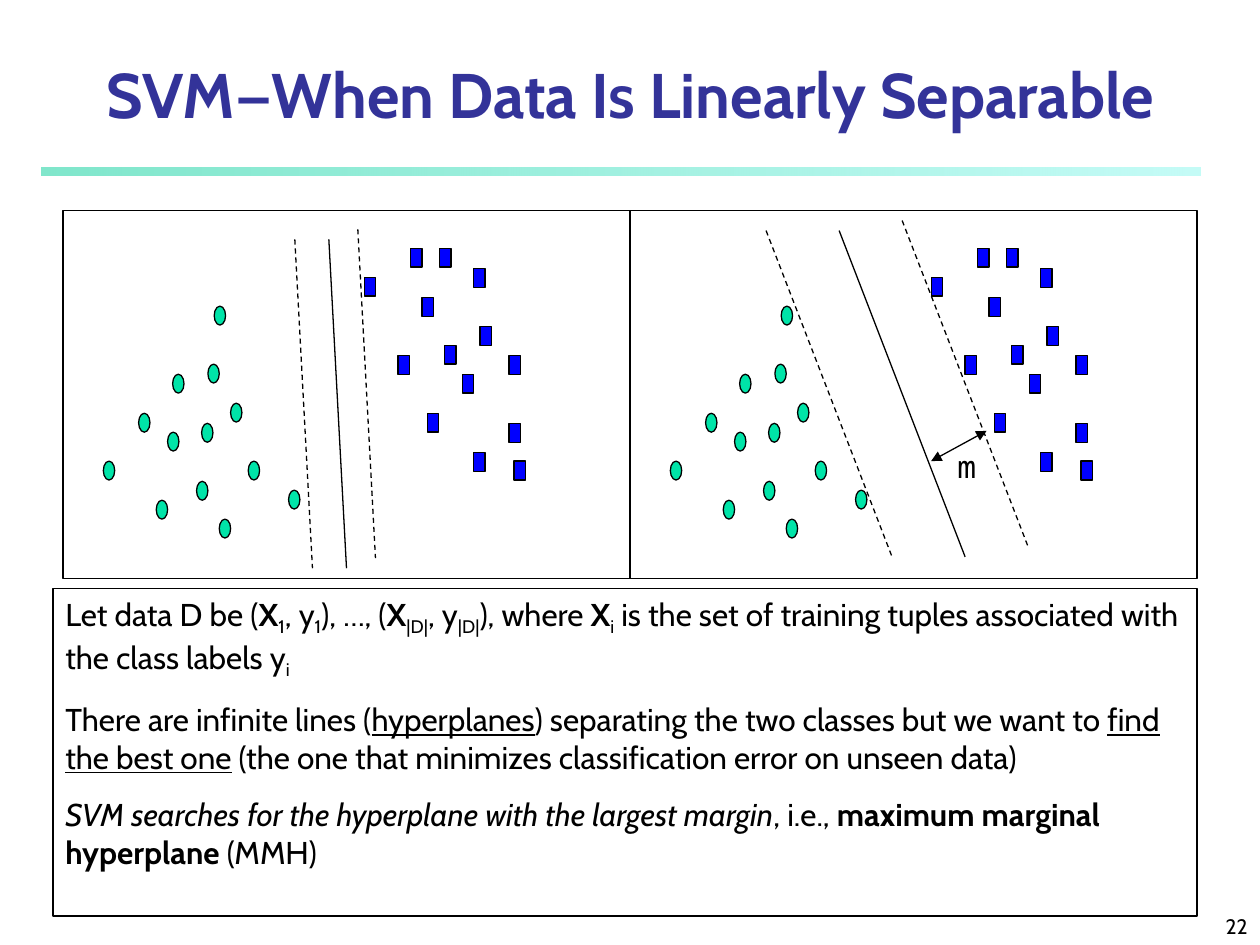
from lxml import etree
from pptx import Presentation
from pptx.dml.color import RGBColor
from pptx.enum import dml, shapes, text
from pptx.oxml import ns
from pptx.util import Inches, Pt

BLACK = RGBColor(0x00, 0x00, 0x00)
NAVY = RGBColor(0x33, 0x33, 0x99)
GREEN = RGBColor(0x00, 0xE4, 0xA8)
BLUE = RGBColor(0x00, 0x00, 0xFF)
TEAL = RGBColor(0x00, 0xCE, 0x98)
AQUA = RGBColor(0x8F, 0xF9, 0xEF)

deck = Presentation()
deck.slide_width, deck.slide_height = Inches(10), Inches(7.5)
slide = deck.slides.add_slide(deck.slide_layouts[6])


def draw(home, kind, x, y, w, h, fill=None):
    item = home.add_shape(kind, Inches(x), Inches(y), Inches(w), Inches(h))
    item.shadow.inherit = False
    if fill is None:
        item.fill.background()
    else:
        item.fill.solid()
        item.fill.fore_color.rgb = fill
    item.line.color.rgb = BLACK
    item.line.width = Pt(0.75)


def link(home, x, y, right, low, dash=False):
    item = home.add_connector(shapes.MSO_CONNECTOR.STRAIGHT,
                              Inches(x), Inches(y), Inches(right), Inches(low))
    item.line.color.rgb = BLACK
    item.line.width = Pt(0.75)
    if dash:
        item.line.dash_style = dml.MSO_LINE.DASH
    etree.SubElement(item._element.spPr, ns.qn("a:effectLst"))
    return item


bar = slide.shapes.add_shape(shapes.MSO_SHAPE.RECTANGLE,
                             Inches(0.33), Inches(1.33), Inches(9.2), Inches(0.06))
bar.shadow.inherit = False
bar.line.fill.background()
bar.fill.gradient()
bar.fill.gradient_angle = 0
for stop, tint, alpha in zip(bar.fill.gradient_stops, (TEAL, AQUA), (50, 52)):
    stop.color.rgb = tint
for stop, alpha in zip(bar._element.spPr.iter(ns.qn("a:srgbClr")), (50, 52)):
    etree.SubElement(stop, ns.qn("a:alpha")).set("val", str(alpha * 1000))

dots = [(1.24, 3.97), (1.33, 3.43), (0.82, 3.66), (1.1, 3.28), (1.56, 3.82),
        (1.37, 2.97), (1.6, 3.36), (1.65, 2.89), (1.83, 3.2), (1.97, 3.66),
        (1.74, 4.12), (2.29, 3.89), (1.7, 2.43)]
bricks = [(3.16, 2.82), (2.89, 2.2), (3.26, 1.97), (3.39, 3.28), (3.35, 2.36),
          (3.53, 2.74), (3.49, 1.97), (3.76, 2.13), (3.67, 2.97), (3.81, 2.59),
          (3.76, 3.59), (4.04, 2.82), (4.04, 3.36), (4.08, 3.66)]
panels = [
    (0.5, 0.14, 2.61, [(2.84, 1.82, True), (2.34, 1.9, True), (2.61, 1.9, False)]),
    (5, 1, 2.59, [(6.08, 1.83, True), (7.16, 1.75, True), (6.66, 1.83, False)]),
]
for left, run, drop, lines in panels:
    group = slide.shapes.add_group_shape().shapes
    shift = left - 0.5
    for x, y in dots:
        draw(group, shapes.MSO_SHAPE.OVAL, x + shift, y, 0.09, 0.15, GREEN)
    for x, y in bricks:
        draw(group, shapes.MSO_SHAPE.RECTANGLE, x + shift, y, 0.09, 0.15, BLUE)
    draw(group, shapes.MSO_SHAPE.RECTANGLE, left, 1.67, 4.5, 2.92)
    for x, y, dash in lines:
        link(group, x, y, x + run, y + drop, dash)

gap = link(slide.shapes, 7.39, 3.66, 7.83, 3.42)
edge = gap._element.spPr.find(ns.qn("a:ln"))
for end in ("a:headEnd", "a:tailEnd"):
    etree.SubElement(edge, ns.qn(end)).set("type", "triangle")

body = [
    [("Let data D be (", ""), ("X", "b"), ("1", "s"), (", y", ""), ("1", "s"),
     ("), …, (", ""), ("X", "b"), ("|D|", "s"), (", y", ""), ("|D|", "s"),
     ("), where ", ""), ("X", "b"), ("i", "s"),
     (" is the set of training tuples associated with the class labels y", ""),
     ("i", "s")],
    [("There are infinite lines (", ""), ("hyperplanes", "u"),
     (") separating the two classes but we want to ", ""),
     ("find the best one", "u"),
     (" (the one that minimizes classification error on unseen data)", "")],
    [("SVM searches for the hyperplane with the largest margin", "i"),
     (", i.e., ", ""), ("maximum marginal hyperplane", "b"), (" (MMH)", "")],
]
title = [[("SVM—When Data Is Linearly Separable", "b")]]
LEFT, MID, RIGHT = text.PP_ALIGN.LEFT, text.PP_ALIGN.CENTER, text.PP_ALIGN.RIGHT
TOP, LOW = text.MSO_ANCHOR.TOP, text.MSO_ANCHOR.BOTTOM
boxes = [
    (7.92, 7.08, 2.08, 0.42, [[("22", "")]], 12, "Cabin", BLACK, RIGHT, LOW),
    (0, 0.42, 10, 0.67, title, 36, "Cabin", NAVY, MID, LOW),
    (7.5, 3.5, 0.58, 0.4, [[("m", "")]], 18, "Noto Sans Mono", BLACK, LEFT, TOP),
    (0.42, 4.67, 9.08, 2.6, body, 18, "Cabin", BLACK, LEFT, TOP),
]
for x, y, w, h, paras, size, face, tint, align, anchor in boxes:
    box = slide.shapes.add_textbox(Inches(x), Inches(y), Inches(w), Inches(h))
    if paras is body:
        box.line.color.rgb = BLACK
        box.line.width = Pt(0.75)
    frame = box.text_frame
    frame.word_wrap = True
    frame.vertical_anchor = anchor
    for at, parts in enumerate(paras):
        para = frame.add_paragraph() if at else frame.paragraphs[0]
        para.alignment = align
        if at:
            para.space_before = Pt(11.2)
        para.font.size = Pt(size)
        para.font.name = face
        para.font.color.rgb = tint
        for words, mark in parts:
            run = para.add_run()
            run.text = words
            if mark == "b":
                run.font.bold = True
            elif mark == "i":
                run.font.italic = True
            elif mark == "u":
                run.font.underline = True
            elif mark == "s":
                run.font._element.set("baseline", "-25000")

deck.save("out.pptx")
